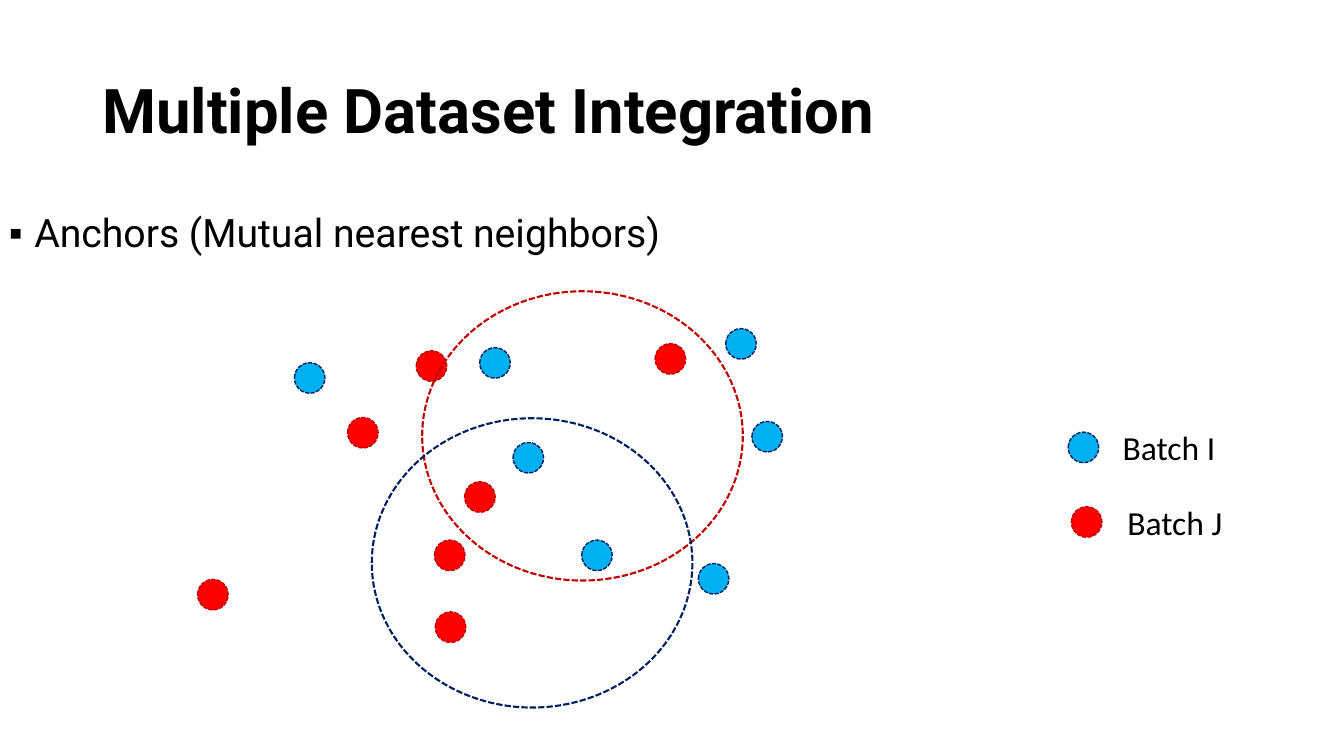
from dataclasses import dataclass

from pptx import Presentation
from pptx.dml.color import RGBColor
from pptx.enum.dml import MSO_LINE
from pptx.enum.shapes import MSO_SHAPE
from pptx.enum.text import MSO_ANCHOR, MSO_AUTO_SIZE, PP_ALIGN
from pptx.oxml.xmlchemy import OxmlElement
from pptx.util import Cm, Pt


@dataclass(frozen=True)
class Theme:
    """Colours, fonts and type sizes of the slide."""
    black: RGBColor = RGBColor(0x00, 0x00, 0x00)
    red: RGBColor = RGBColor(0xFF, 0x00, 0x00)
    dark_red: RGBColor = RGBColor(0xC0, 0x00, 0x00)
    blue: RGBColor = RGBColor(0x00, 0xB0, 0xF0)
    navy: RGBColor = RGBColor(0x00, 0x20, 0x60)
    main_font: str = "Roboto"
    label_font: str = "Calibri"
    title_size: int = 44
    body_size: int = 28
    label_size: int = 24


THEME = Theme()
BATCH_I = (THEME.blue, THEME.navy)
BATCH_J = (THEME.red, THEME.dark_red)
DOT = 0.77
RING = (8.08, 7.29)

NEIGHBORS = [
    (BATCH_J, [(6.73, 4.8), (3.78, 3.18), (5.99, 8.08), (5.97, 6.27),
               (5.51, 1.5), (0, 7.26), (11.53, 1.32)]),
    (BATCH_I, [(9.68, 6.27), (7.95, 3.81), (7.11, 1.42), (12.62, 6.86),
               (13.97, 3.28), (13.31, 0.94), (2.44, 1.8)]),
]
RINGS = [(THEME.dark_red, 5.66, 0), (THEME.navy, 4.39, 3.2)]
LEGEND = [("Batch I", BATCH_I, 0, 1.12), ("Batch J", BATCH_J, 0.08, 1.24)]


def set_all(obj, values):
    """Set each attribute of obj from a dict."""
    for name, value in values.items():
        setattr(obj, name, value)


def place(sp, x, y, w, h):
    """Move and size a shape, in centimetres."""
    set_all(sp, {"left": Cm(x), "top": Cm(y), "width": Cm(w), "height": Cm(h)})


def write(sp, text, font, size, bold=False, bullet=None, **frame):
    """Fill a shape with one formatted paragraph."""
    tf = sp.text_frame
    set_all(tf, frame)
    p = tf.paragraphs[0]
    if bullet:
        pPr = p._p.get_or_add_pPr()
        indent = int(Cm(0.64))
        pPr.set("marL", str(indent))
        pPr.set("indent", str(-indent))
        for tag, key, value in (("a:buFont", "typeface", "Arial"),
                                ("a:buChar", "char", bullet)):
            el = OxmlElement(tag)
            el.set(key, value)
            pPr.append(el)
    set_all(p, {"alignment": PP_ALIGN.LEFT, "space_before": Pt(0)})
    r = p.add_run()
    r.text = text
    set_all(r.font, {"name": font, "size": Pt(size), "bold": bold})
    r.font.color.rgb = THEME.black
    return p


def ellipse(s, x, y, w, h, line, weight, fill=None):
    """Draw a dashed ellipse, filled when a fill colour is given."""
    sp = s.shapes.add_shape(MSO_SHAPE.OVAL, Cm(x), Cm(y), Cm(w), Cm(h))
    sp.shadow.inherit = False
    if fill is None:
        sp.fill.background()
    else:
        sp.fill.solid()
        sp.fill.fore_color.rgb = fill
    sp.line.color.rgb = line
    set_all(sp.line, {"width": Pt(weight), "dash_style": MSO_LINE.SQUARE_DOT})


def dot(s, x, y, batch):
    """Draw one cell in the colours of its batch."""
    fill, line = batch
    ellipse(s, x, y, DOT, DOT, line, 1, fill)


def heading(s, x, y, w, h):
    """Place the slide title."""
    sp = s.shapes.title
    place(sp, x, y, w, h)
    p = write(sp, "Multiple Dataset Integration", THEME.main_font,
              THEME.title_size, bold=True, word_wrap=True,
              auto_size=MSO_AUTO_SIZE.NONE, vertical_anchor=MSO_ANCHOR.MIDDLE)
    p.line_spacing = 0.9


def topic(s, x, y, w, h):
    """Place the bulleted topic."""
    sp = s.placeholders[1]
    place(sp, x, y, w, h)
    p = write(sp, "Anchors (Mutual nearest neighbors)", THEME.main_font,
              THEME.body_size, bullet="▪", word_wrap=True,
              auto_size=MSO_AUTO_SIZE.NONE, vertical_anchor=MSO_ANCHOR.TOP)
    p.line_spacing = 0.9


def neighbor_plot(s, x, y):
    """Draw the cells of both batches and the two neighborhoods."""
    for batch, spots in NEIGHBORS:
        for dx, dy in spots:
            dot(s, x + dx, y + dy, batch)
    for line, dx, dy in RINGS:
        ellipse(s, x + dx, y + dy, *RING, line, 1.5)


def legend(s, x, y, pitch):
    """Place a dot and a label for each batch."""
    for i, (name, batch, dot_dx, label_dx) in enumerate(LEGEND):
        top = y + i * pitch
        dot(s, x + dot_dx, top + 0.25, batch)
        sp = s.shapes.add_textbox(Cm(x + label_dx), Cm(top), Cm(2.9), Cm(1.28))
        write(sp, name, THEME.label_font, THEME.label_size, word_wrap=False,
              auto_size=MSO_AUTO_SIZE.SHAPE_TO_FIT_TEXT)


def main():
    """Build and save the slide."""
    prs = Presentation()
    set_all(prs, {"slide_width": Cm(33.87), "slide_height": Cm(19.05)})
    s = prs.slides.add_slide(prs.slide_layouts[1])
    heading(s, 2.33, 1.01, 29.21, 3.68)
    topic(s, -0.03, 5.26, 29.21, 12.09)
    neighbor_plot(s, 4.98, 7.34)
    legend(s, 26.92, 10.64, 1.88)
    prs.save("out.pptx")


if __name__ == "__main__":
    main()
